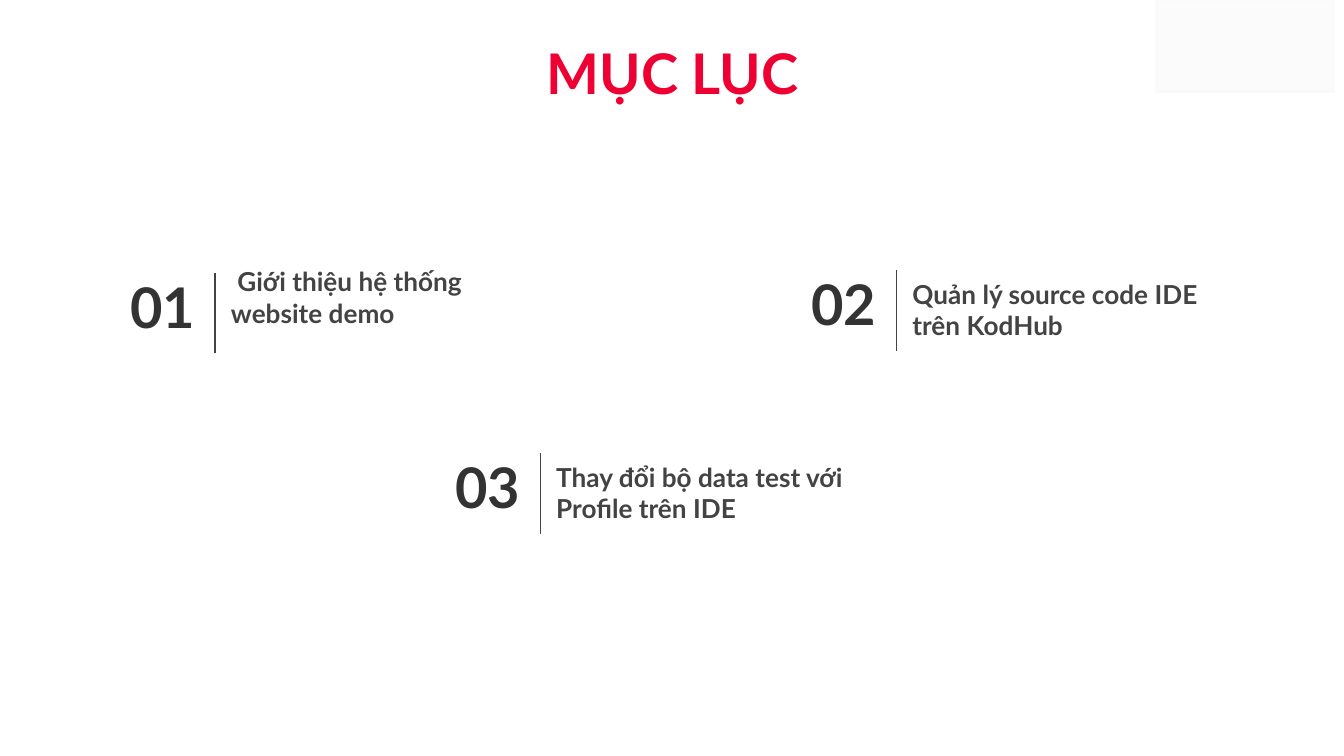
import pptx
import pptx.util
import pptx.dml.color
import pptx.enum.shapes
import pptx.enum.text
import pptx.oxml

Inches, Pt = pptx.util.Inches, pptx.util.Pt
RGB = pptx.dml.color.RGBColor
RED = RGB(0xEE, 0x00, 0x33)
DARK = RGB(0x33, 0x33, 0x33)
GRAY = RGB(0x43, 0x43, 0x43)
PALE = RGB(0xFB, 0xFB, 0xFB)
EDGE = RGB(0xFA, 0xFA, 0xFA)

WIDE = Inches(10)
HIGH = WIDE * 9 // 16
PAD = 0.1
TITLE = "MỤC LỤC"
ITEMS = [
    ("01", " Giới thiệu hệ thống website demo", 0.87, 1.92, 2.52, 0.33),
    ("03", "Thay đổi bộ data test với Profile trên IDE", 3.29, 3.26, 2.72, PAD),
    ("02", "Quản lý source code IDE trên KodHub", 5.94, 1.9, 2.52, PAD),
]


def write(shape, text, size, color, align, low=PAD):
    frame = shape.text_frame
    frame.word_wrap = True
    frame.auto_size = pptx.enum.text.MSO_AUTO_SIZE.NONE
    frame.vertical_anchor = pptx.enum.text.MSO_ANCHOR.MIDDLE
    frame.margin_left = frame.margin_right = frame.margin_top = Inches(PAD)
    frame.margin_bottom = Inches(low)
    line = frame.paragraphs[0]
    line.text = text
    line.alignment = align
    line.line_spacing = 1
    line.space_before = Pt(0)
    font = line.font
    font.name, font.size, font.bold = "Lato", Pt(size), True
    font.color.rgb = color


def add_item(slide, number, text, left, top, width, low):
    group = slide.shapes.add_group_shape().shapes
    side = pptx.enum.text.PP_ALIGN.LEFT
    body = group.add_textbox(Inches(left + 0.75), Inches(top + 0.09),
                             Inches(width), Inches(0.63))
    write(body, text, 14, GRAY, side, low)
    label = group.add_textbox(Inches(left), Inches(top), Inches(0.72), Inches(0.71))
    write(label, number, 30, DARK, side)
    x, y = Inches(left + 0.73), Inches(top + 0.11)
    rule = group.add_connector(pptx.enum.shapes.MSO_CONNECTOR.STRAIGHT,
                               x, y, x, y + Inches(0.6))
    rule.line.color.rgb = GRAY
    rule.line.width = Pt(0.75)
    rule._element.spPr.append(pptx.oxml.parse_xml(
        '<a:effectLst xmlns:a="http://schemas.openxmlformats.org/drawingml/2006/main"/>'))


deck = pptx.Presentation()
deck.slide_width, deck.slide_height = WIDE, HIGH
slide = deck.slides.add_slide(deck.slide_layouts[5])

title = slide.shapes.title
title.left, title.top = Inches(2.46), Inches(0.02)
title.width, title.height = Inches(5.09), Inches(1.03)
write(title, TITLE, 30, RED, pptx.enum.text.PP_ALIGN.CENTER)

for item in ITEMS:
    add_item(slide, *item)

panel = slide.shapes.add_shape(pptx.enum.shapes.MSO_SHAPE.RECTANGLE,
                               Inches(8.61), Inches(0.01), Inches(1.31), Inches(0.67))
panel.shadow.inherit = False
panel.fill.solid()
panel.fill.fore_color.rgb = PALE
panel.line.color.rgb = EDGE
panel.line.width = Pt(2)

deck.save("out.pptx")
